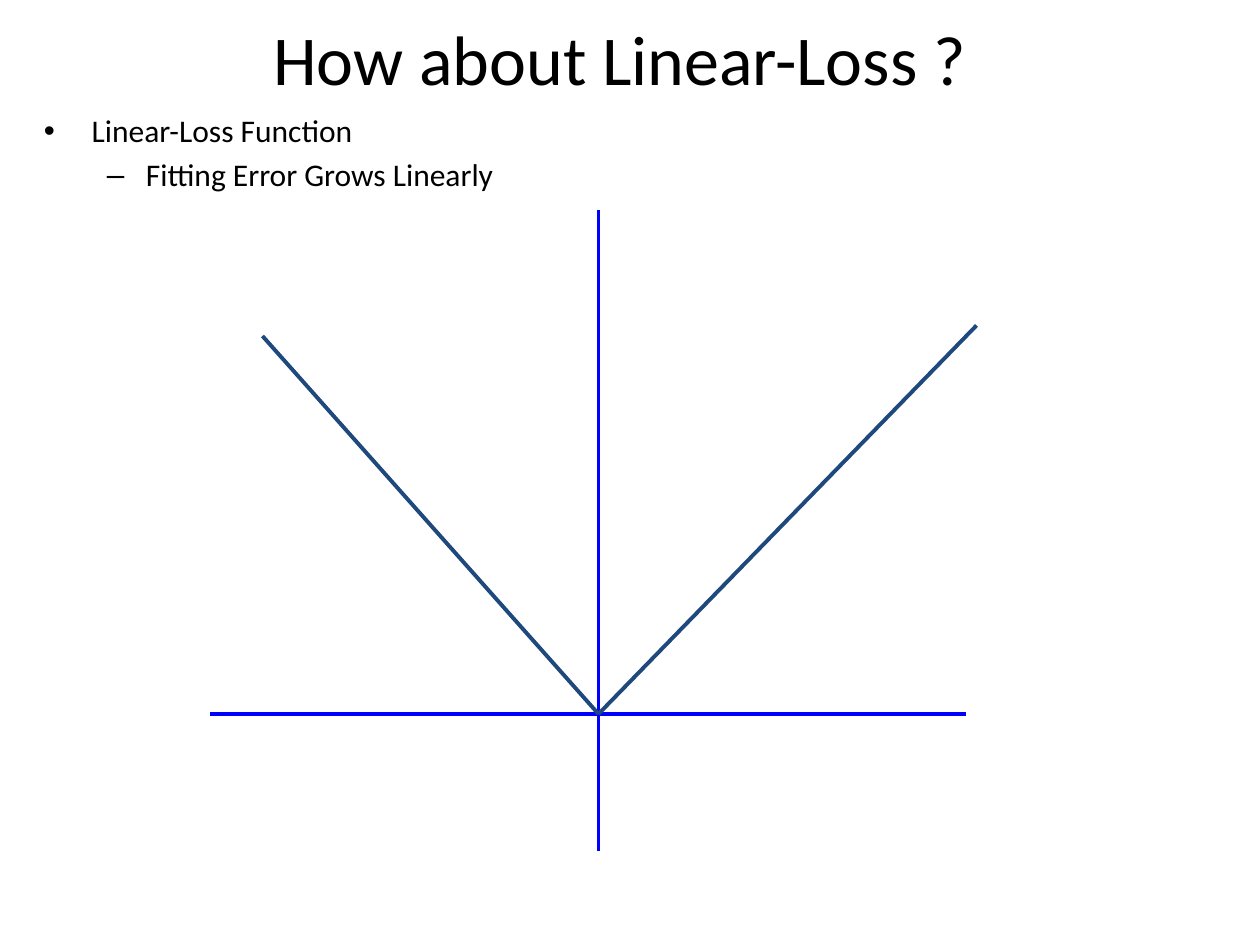
"""Build a slide that sketches the linear-loss function on a pair of axes."""
from dataclasses import dataclass
from typing import Optional

from lxml.etree import SubElement
from pptx import Presentation
from pptx.dml.color import RGBColor
from pptx.enum.shapes import MSO_CONNECTOR
from pptx.enum.text import MSO_ANCHOR, PP_ALIGN
from pptx.oxml.ns import qn
from pptx.slide import Slide
from pptx.text.text import TextFrame
from pptx.util import Inches, Pt

COLORS = {"text": "000000", "axis": "0000FF", "loss": "1F497D"}
FONT = "Calibri"
UNIT = Inches(1) // 12
COLUMNS, ROWS = 120, 90
ORIGIN = (57, 68)


@dataclass(frozen=True)
class Stroke:
    start: tuple[int, int]
    end: tuple[int, int]
    color: str


@dataclass(frozen=True)
class Point:
    text: str
    bullet: str
    level: int
    margin: float
    hanging: float
    before: float


STROKES = [
    Stroke((20, ORIGIN[1]), (92, ORIGIN[1]), "axis"),
    Stroke((ORIGIN[0], 20), (ORIGIN[0], 81), "axis"),
    Stroke(ORIGIN, (93, 31), "loss"),
    Stroke(ORIGIN, (25, 32), "loss"),
]
POINTS = [
    Point("Linear-Loss Function", "•", 0, 0.38, 0.38, 0),
    Point("Fitting Error Grows Linearly", "–", 1, 0.81, 0.31, 3.6),
]


def add_box(slide: Slide, column: int, row: int, columns: int, rows: int,
            anchor: MSO_ANCHOR = MSO_ANCHOR.TOP) -> TextFrame:
    """Add a wrapping text box placed on the grid."""
    box = slide.shapes.add_textbox(*(UNIT * n for n in (column, row, columns, rows)))
    box.text_frame.word_wrap = True
    box.text_frame.vertical_anchor = anchor
    return box.text_frame


def write(frame: TextFrame, text: str, *, size: float, color: str = "text",
          align: PP_ALIGN = PP_ALIGN.LEFT, point: Optional[Point] = None) -> None:
    """Write one paragraph, with a hanging bullet if a point is given."""
    first = frame.paragraphs[0]
    paragraph = frame.add_paragraph() if first.runs else first
    paragraph.alignment = align
    if point:
        paragraph.level = point.level
        properties = paragraph._p.get_or_add_pPr()
        properties.set("marL", str(Inches(point.margin)))
        properties.set("indent", str(-Inches(point.hanging)))
        SubElement(properties, qn("a:buFont"), typeface="Arial")
        SubElement(properties, qn("a:buChar"), char=point.bullet)
        if point.before:
            paragraph.space_before = Pt(point.before)
    run = paragraph.add_run()
    run.text = text
    run.font.name = FONT
    run.font.size = Pt(size)
    run.font.color.rgb = RGBColor.from_string(COLORS[color])


def draw(slide: Slide, stroke: Stroke) -> None:
    """Draw a straight line between two grid positions."""
    ends = (UNIT * n for n in stroke.start + stroke.end)
    line = slide.shapes.add_connector(MSO_CONNECTOR.STRAIGHT, *ends)
    line.line.width = Pt(2.25)
    line.line.color.rgb = RGBColor.from_string(COLORS[stroke.color])
    SubElement(line._element.spPr, qn("a:effectLst"))


def main() -> None:
    """Build and save the slide."""
    deck = Presentation()
    deck.slide_width, deck.slide_height = UNIT * COLUMNS, UNIT * ROWS
    slide = deck.slides.add_slide(deck.slide_layouts[6])

    title = add_box(slide, 3, 1, 112, 9, MSO_ANCHOR.MIDDLE)
    write(title, "How about Linear-Loss ?", size=40, align=PP_ALIGN.CENTER)

    body = add_box(slide, 3, 10, 109, 75)
    for point in POINTS:
        write(body, point.text, size=18, point=point)

    for stroke in STROKES:
        draw(slide, stroke)
    deck.save("out.pptx")


if __name__ == "__main__":
    main()
